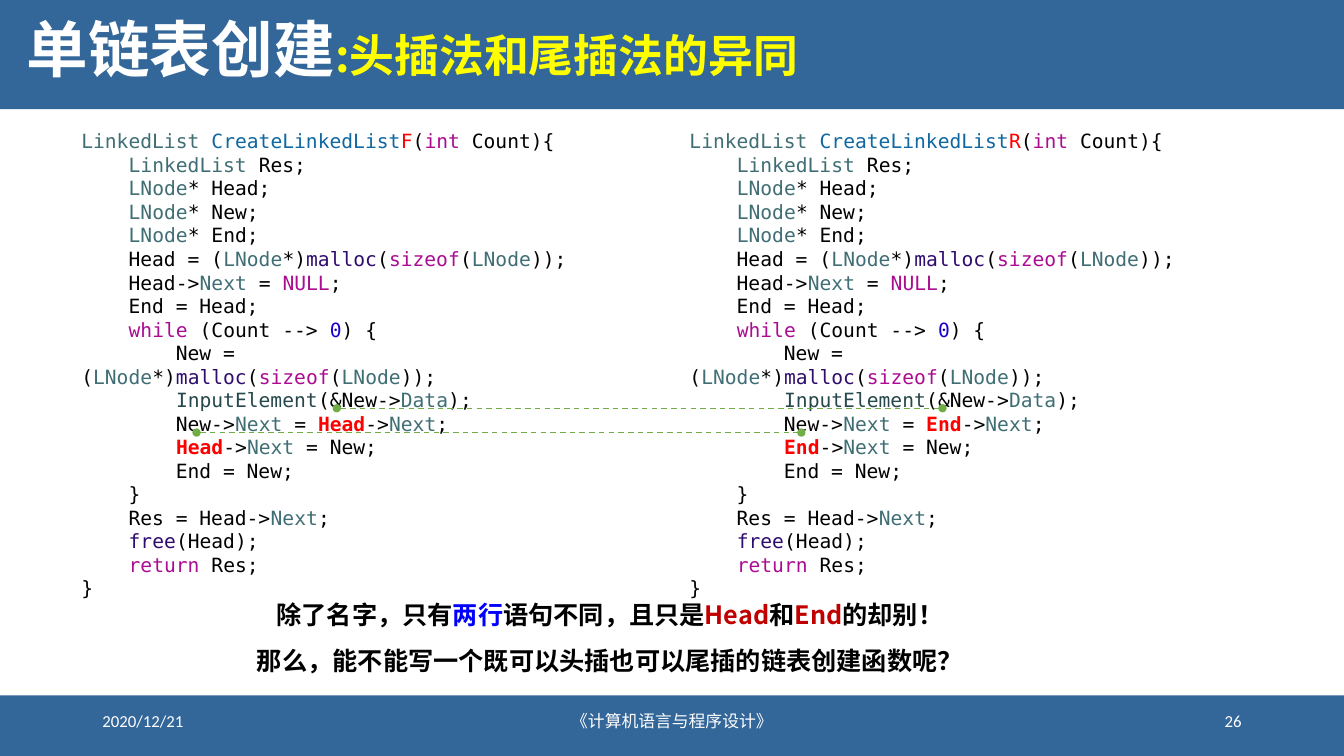
import itertools

import pptx
import pptx.dml.color
import pptx.enum.dml
import pptx.enum.shapes
import pptx.enum.text
import pptx.oxml
import pptx.oxml.ns
import pptx.util

ALIGN = pptx.enum.text.PP_ALIGN
ANCHOR = pptx.enum.text.MSO_ANCHOR


class Theme:
    heading_font, footer_font, code_font = "Noto Sans CJK SC", "Calibri", "DejaVu Sans Mono"
    title_size, subtitle_size, conclusion_size, code_size, footer_size = 44, 32, 18, 14, 12
    band, white, yellow, black = "336699", "FFFFFF", "FFFF00", "000000"
    blue, dark_red, red, link = "0000FF", "C00000", "FF0000", "70AD47"
    type_name, keyword, library, function = "3F6E74", "AA0D91", "2E0D6E", "26474B"
    declaration, number = "0F68A0", "1C00CF"
    syntax = {
        **dict.fromkeys(["LinkedList", "LNode", "Next", "Data"], type_name),
        **dict.fromkeys(["int", "sizeof", "NULL", "while", "return"], keyword),
        **dict.fromkeys(["malloc", "free"], library),
        "InputElement": function, "CreateLinkedList": declaration, "0": number,
    }


# "$" stands for the function suffix, "@" for the node that differs.
CODE = """LinkedList CreateLinkedList$(int Count){
    LinkedList Res;
    LNode* Head;
    LNode* New;
    LNode* End;
    Head = (LNode*)malloc(sizeof(LNode));
    Head->Next = NULL;
    End = Head;
    while (Count --> 0) {
        New = (LNode*)malloc(sizeof(LNode));
        InputElement(&New->Data);
        New->Next = @->Next;
        @->Next = New;
        End = New;
    }
    Res = Head->Next;
    free(Head);
    return Res;
}"""


def add_run(paragraph, text, *, font, size, color, bold=False):
    run = paragraph.add_run()
    run.text = text
    run.font.name = font
    run.font.size = pptx.util.Pt(size)
    run.font.bold = bold
    run.font.color.rgb = pptx.dml.color.RGBColor.from_string(color)
    properties = run.font._element
    east_asian = pptx.oxml.ns.qn("a:ea")
    properties.makeelement(east_asian)
    pptx.oxml.ns.qn("a:latin")
    element = properties.makeelement(east_asian, {"typeface": Theme.heading_font})
    properties.append(element)


def highlight(line, suffix, node):
    """Split a code line into (text, format) pieces coloured by token."""
    def kind(character):
        if character in "@$":
            return character
        return "word" if character.isalnum() else "symbol"

    special = {"@": (node, {"color": Theme.red, "bold": True}),
               "$": (suffix, {"color": Theme.red})}
    for group, characters in itertools.groupby(line, kind):
        token = "".join(characters)
        color = Theme.syntax.get(token, Theme.black)
        yield special.get(group, (token, {"color": color}))


class SlideBuilder:
    """Places elements on a grid of 16 columns by 9 rows."""
    columns, rows = 16, 9

    def __init__(self, presentation):
        self.cell_width = presentation.slide_width / self.columns
        self.cell_height = presentation.slide_height / self.rows
        self.slide = presentation.slides.add_slide(presentation.slide_layouts[6])

    def place(self, column, row, width, height):
        return (round(column * self.cell_width), round(row * self.cell_height),
                round(width * self.cell_width), round(height * self.cell_height))

    def band(self, row, height):
        shape = self.slide.shapes.add_shape(
            pptx.enum.shapes.MSO_SHAPE.RECTANGLE, *self.place(0, row, self.columns, height))
        shape.shadow.inherit = False
        shape.fill.solid()
        shape.fill.fore_color.rgb = pptx.dml.color.RGBColor.from_string(Theme.band)
        shape.line.fill.background()

    def text(self, area, paragraphs, *, align=ALIGN.LEFT, anchor=ANCHOR.TOP,
             spacing=None, wrap=True, **base):
        """Add a text box; each paragraph is a list of (text, format) pieces."""
        frame = self.slide.shapes.add_textbox(*self.place(*area)).text_frame
        frame.word_wrap = wrap
        frame.vertical_anchor = anchor
        for index, pieces in enumerate(paragraphs):
            paragraph = frame.add_paragraph() if index else frame.paragraphs[0]
            paragraph.alignment = align
            if spacing:
                paragraph.line_spacing = spacing
            for text, style in pieces:
                add_run(paragraph, text, **{**base, **style})

    def footer(self, column, width, text, align):
        self.text((column, 8.34, width, 0.48), [[(text, {})]], align=align,
                  anchor=ANCHOR.MIDDLE, font=Theme.footer_font,
                  size=Theme.footer_size, color=Theme.white)

    def code(self, column, suffix, node):
        lines = [highlight(line, suffix, node) for line in CODE.splitlines()]
        self.text((column, 1.48, 6.42, 5.5), lines,
                  font=Theme.code_font, size=Theme.code_size)

    def link(self, start, end, row):
        """Join matching code lines with a dashed line and round ends."""
        left, top, width, _ = self.place(start, row, end - start, 0)
        connector = self.slide.shapes.add_connector(
            pptx.enum.shapes.MSO_CONNECTOR.STRAIGHT, left, top, left + width, top)
        connector.line.width = pptx.util.Pt(1)
        connector.line.color.rgb = pptx.dml.color.RGBColor.from_string(Theme.link)
        connector.line.dash_style = pptx.enum.dml.MSO_LINE.DASH
        properties = connector._element.spPr
        line = properties.find(pptx.oxml.ns.qn("a:ln"))
        for parent, tag, attributes in ((line, "a:headEnd", {"type": "oval"}),
                                        (line, "a:tailEnd", {"type": "oval"}),
                                        (properties, "a:effectLst", {})):
            parent.append(parent.makeelement(pptx.oxml.ns.qn(tag), attributes))


def main():
    presentation = pptx.Presentation()
    presentation.slide_width = pptx.util.Inches(13.33)
    presentation.slide_height = pptx.util.Inches(7.5)
    builder = SlideBuilder(presentation)

    builder.band(0, 1.3)
    builder.band(8.28, 0.72)
    builder.footer(1.1, 3.6, "2020/12/21", ALIGN.LEFT)
    builder.footer(5.3, 5.4, "《计算机语言与程序设计》", ALIGN.CENTER)
    builder.footer(11.3, 3.6, "26", ALIGN.RIGHT)

    title = [("单链表创建", {"size": Theme.title_size, "color": Theme.white}),
             (":头插法和尾插法的异同", {"size": Theme.subtitle_size, "color": Theme.yellow})]
    builder.text((0.2, 0, 15.44, 1.24), [title], anchor=ANCHOR.MIDDLE, spacing=0.9,
                 font=Theme.heading_font, bold=True)

    builder.code(0.85, "F", "Head")
    builder.code(8.09, "R", "End")
    builder.link(4.01, 11.22, 4.86)
    builder.link(2.34, 9.54, 5.15)

    conclusion = [
        [("除了名字，只有", {}), ("两行", {"color": Theme.blue}), ("语句不同，且只是", {}),
         ("Head", {"color": Theme.dark_red}), ("和", {}),
         ("End", {"color": Theme.dark_red}), ("的却别！", {})],
        [("那么，能不能写一个既可以头插也可以尾插的链表创建函数呢？", {})],
    ]
    builder.text((2.9, 6.9, 8.72, 1.15), conclusion, align=ALIGN.CENTER, spacing=1.5,
                 wrap=False, font=Theme.heading_font, size=Theme.conclusion_size,
                 color=Theme.black, bold=True)

    presentation.save("out.pptx")


if __name__ == "__main__":
    main()
